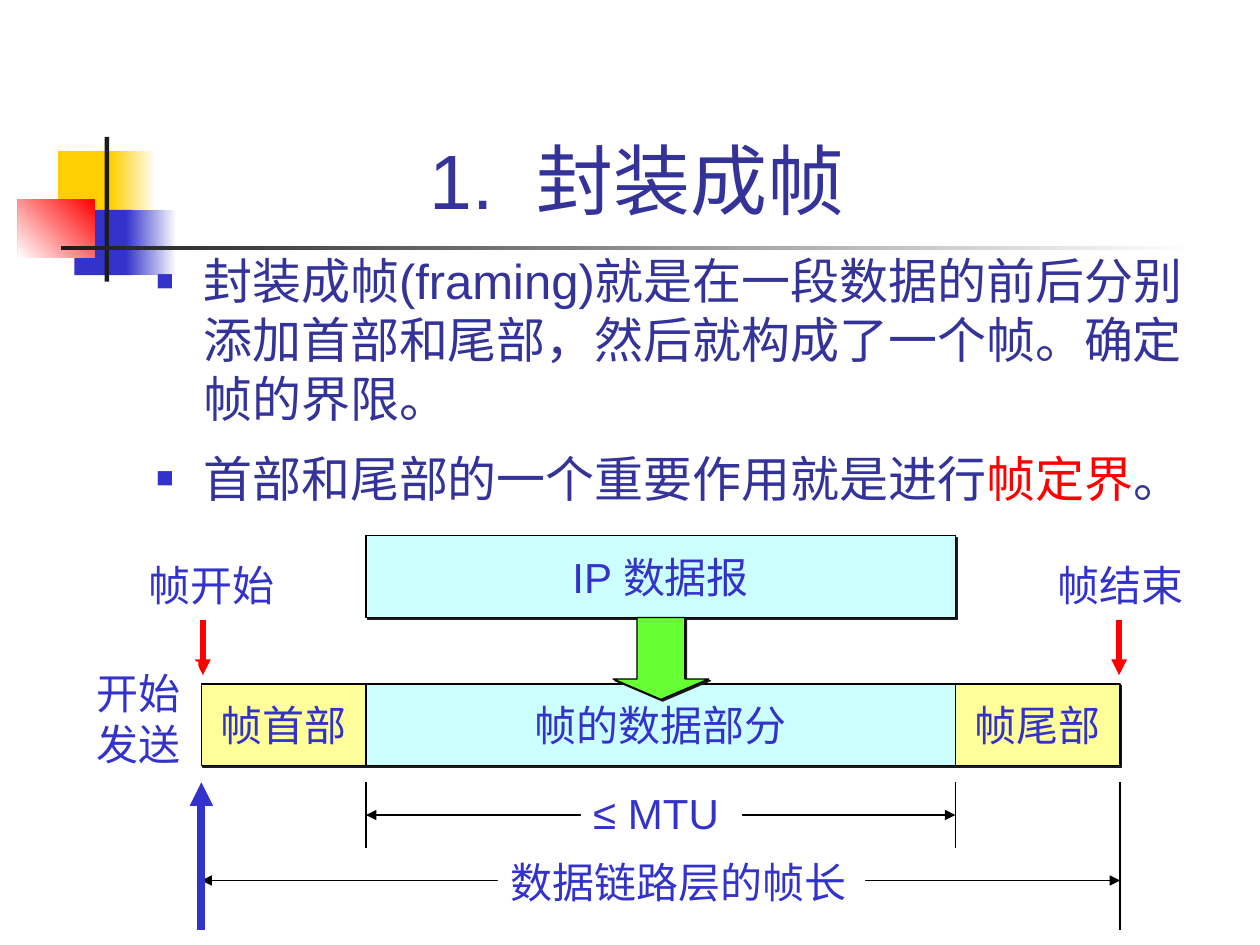
from dataclasses import dataclass

from lxml.etree import SubElement
from pptx import Presentation
from pptx.dml.color import RGBColor
from pptx.enum.shapes import MSO_CONNECTOR, MSO_SHAPE
from pptx.enum.text import MSO_ANCHOR, MSO_AUTO_SIZE, PP_ALIGN
from pptx.oxml.ns import qn
from pptx.shapes.autoshape import Shape
from pptx.slide import Slide
from pptx.text.text import _Paragraph
from pptx.util import Cm, Pt


@dataclass(frozen=True)
class Theme:
    font: str = "Arial"
    title_size: float = 44
    body_size: float = 28
    label_size: float = 24
    hairline: float = 0.75
    heading: str = "333399"
    blue: str = "3333CC"
    red: str = "FF0000"
    yellow: str = "FFCF01"
    ink: str = "1C1C1C"
    black: str = "000000"
    white: str = "FFFFFF"
    pale_yellow: str = "FFFF99"
    pale_cyan: str = "CCFFFF"
    green: str = "66FF33"


THEME = Theme()


@dataclass(frozen=True)
class Box:
    left: float
    top: float
    width: float
    height: float

    @property
    def right(self) -> float:
        return self.left + self.width

    @property
    def bottom(self) -> float:
        return self.top + self.height

    def emu(self) -> tuple[Cm, Cm, Cm, Cm]:
        return Cm(self.left), Cm(self.top), Cm(self.width), Cm(self.height)


@dataclass(frozen=True)
class Ornament:
    box: Box
    color: str
    fade_to: str = ""
    angle: float = 0


@dataclass(frozen=True)
class Block:
    box: Box
    color: str
    text: str = ""
    preset: MSO_SHAPE = MSO_SHAPE.RECTANGLE


@dataclass(frozen=True)
class Label:
    box: Box
    lines: tuple[str, ...]


@dataclass(frozen=True)
class Stroke:
    start: tuple[float, float]
    end: tuple[float, float]
    color: str = THEME.black
    weight: float = THEME.hairline
    arrowheads: tuple[str, ...] = ()


def rgb(color: str) -> RGBColor:
    return RGBColor.from_string(color)


def add_run(paragraph: _Paragraph, text: str, size: float, color: str, spacing: float = 0) -> None:
    run = paragraph.add_run()
    run.text = text
    run.font.name = THEME.font
    run.font.size = Pt(size)
    run.font.color.rgb = rgb(color)
    if spacing:
        run.font._element.set("spc", str(int(spacing * 100)))


def draw_ornament(slide: Slide, ornament: Ornament) -> None:
    patch = slide.shapes.add_shape(MSO_SHAPE.RECTANGLE, *ornament.box.emu())
    patch.shadow.inherit = False
    patch.line.fill.background()
    if ornament.fade_to:
        patch.fill.gradient()
        patch.fill.gradient_angle = ornament.angle
        for stop, color in zip(patch.fill.gradient_stops, (ornament.color, ornament.fade_to)):
            stop.color.rgb = rgb(color)
    else:
        patch.fill.solid()
        patch.fill.fore_color.rgb = rgb(ornament.color)


def cast_shadow(block: Shape) -> None:
    block.shadow.inherit = False
    effects = block.element.spPr.find(qn("a:effectLst"))
    shadow = SubElement(effects, qn("a:outerShdw"), dist=str(Pt(1.4)), dir="2700000",
                        algn="ctr", rotWithShape="0")
    SubElement(shadow, qn("a:srgbClr"), val=THEME.ink)


def draw_block(slide: Slide, block: Block) -> None:
    part = slide.shapes.add_shape(block.preset, *block.box.emu())
    part.fill.solid()
    part.fill.fore_color.rgb = rgb(block.color)
    part.line.color.rgb = rgb(THEME.black)
    part.line.width = Pt(THEME.hairline)
    cast_shadow(part)
    if block.text:
        part.text_frame.word_wrap = False
        part.text_frame.vertical_anchor = MSO_ANCHOR.MIDDLE
        caption = part.text_frame.paragraphs[0]
        caption.alignment = PP_ALIGN.CENTER
        add_run(caption, block.text, THEME.label_size, THEME.blue)


def draw_label(slide: Slide, label: Label) -> None:
    note = slide.shapes.add_textbox(*label.box.emu())
    note.fill.solid()
    note.fill.fore_color.rgb = rgb(THEME.white)
    frame = note.text_frame
    frame.word_wrap = False
    frame.auto_size = MSO_AUTO_SIZE.SHAPE_TO_FIT_TEXT
    for index, line in enumerate(label.lines):
        paragraph = frame.add_paragraph() if index else frame.paragraphs[0]
        add_run(paragraph, line, THEME.label_size, THEME.blue)


def draw_stroke(slide: Slide, stroke: Stroke) -> None:
    points = [Cm(value) for value in stroke.start + stroke.end]
    connector = slide.shapes.add_connector(MSO_CONNECTOR.STRAIGHT, *points)
    connector.line.color.rgb = rgb(stroke.color)
    connector.line.width = Pt(stroke.weight)
    properties = connector.element.spPr
    for end in stroke.arrowheads:
        SubElement(properties.find(qn("a:ln")), qn(f"a:{end}"), type="triangle")
    SubElement(properties, qn("a:effectLst"))


def add_bullet(paragraph: _Paragraph) -> None:
    properties = paragraph._p.get_or_add_pPr()
    properties.set("marL", str(Cm(0.95)))
    properties.set("indent", str(Cm(-0.95)))
    SubElement(SubElement(properties, qn("a:buClr")), qn("a:srgbClr"), val=THEME.blue)
    SubElement(properties, qn("a:buSzPct"), val="60000")
    SubElement(properties, qn("a:buFont"), typeface=THEME.font)
    SubElement(properties, qn("a:buChar"), char="■")


def draw_title(slide: Slide) -> None:
    frame = slide.shapes.add_textbox(*Box(3.2, 0.6, 19.3, 4.06).emu()).text_frame
    frame.word_wrap = True
    frame.vertical_anchor = MSO_ANCHOR.BOTTOM
    heading = frame.paragraphs[0]
    heading.alignment = PP_ALIGN.CENTER
    for text, spacing in (("1.", 0), (" ", 12), ("封装成帧", 0)):
        add_run(heading, text, THEME.title_size, THEME.heading, spacing)


def draw_body(slide: Slide) -> None:
    points = (
        (7, (("封装成帧(framing)就是在一段数据的前后分别添加首部和尾部，然后就构成了一个帧。确定帧的界限。", THEME.heading),)),
        (12, (("首部和尾部的一个重要作用就是进行", THEME.heading), ("帧定界", THEME.red), ("。", THEME.heading))),
    )
    frame = slide.shapes.add_textbox(*Box(2.9, 4.93, 21.59, 11.43).emu()).text_frame
    frame.word_wrap = True
    for index, (space, runs) in enumerate(points):
        paragraph = frame.add_paragraph() if index else frame.paragraphs[0]
        paragraph.space_before = Pt(space)
        add_bullet(paragraph)
        for text, color in runs:
            add_run(paragraph, text, THEME.body_size, color)


def main() -> None:
    deck = Presentation()
    deck.slide_width, deck.slide_height = Cm(25.4), Cm(19.05)
    slide = deck.slides.add_slide(deck.slide_layouts[6])

    for ornament in (
        Ornament(Box(1.17, 3.05, 1.22, 1.32), THEME.yellow),
        Ornament(Box(2.24, 3.05, 0.91, 1.32), THEME.yellow, THEME.white),
        Ornament(Box(1.5, 4.23, 1.17, 1.32), THEME.blue),
        Ornament(Box(2.54, 4.23, 1.02, 1.32), THEME.blue, THEME.white),
        Ornament(Box(0.36, 4.02, 1.55, 1.17), THEME.red, THEME.white, 225),
        Ornament(Box(2.11, 2.76, 0.09, 2.92), THEME.ink),
        Ornament(Box(1.23, 4.95, 22.86, 0.09), THEME.ink, THEME.white),
    ):
        draw_ornament(slide, ornament)
    draw_title(slide)
    draw_body(slide)

    header = Box(4.06, 13.79, 3.32, 1.65)
    data = Box(header.right, header.top, 11.88, header.height)
    trailer = Box(data.right, header.top, header.width, header.height)
    datagram = Box(data.left, 10.8, data.width, data.height)
    for block in (
        Block(header, THEME.pale_yellow, "帧首部"),
        Block(datagram, THEME.pale_cyan, "IP 数据报"),
        Block(data, THEME.pale_cyan, "帧的数据部分"),
        Block(trailer, THEME.pale_yellow, "帧尾部"),
    ):
        draw_block(slide, block)

    tick_top, mtu_y, length_y, foot = 15.77, 16.43, 17.75, 18.75
    both_ends = ("headEnd", "tailEnd")
    strokes = [
        Stroke((data.left, mtu_y), (data.right, mtu_y), arrowheads=both_ends),
        Stroke((header.left, length_y), (trailer.right, length_y), arrowheads=both_ends),
        Stroke((header.left, tick_top), (header.left, foot), THEME.blue, 4.5, ("headEnd",)),
        Stroke((trailer.right, tick_top), (trailer.right, foot)),
    ]
    strokes += [Stroke((x, tick_top), (x, 17.09)) for x in (data.left, data.right)]
    strokes += [Stroke((x, 13.61), (x, 12.5), THEME.red, 3, ("headEnd",)) for x in (4.09, 22.56)]
    for stroke in strokes:
        draw_stroke(slide, stroke)

    for label in (
        Label(Box(2.74, 11.15, 3.1, 1.27), ("帧开始",)),
        Label(Box(21.06, 11.15, 3.1, 1.27), ("帧结束",)),
        Label(Box(11.71, 15.75, 3.25, 1.27), ("≤ MTU",)),
        Label(Box(10.04, 17.15, 7.4, 1.27), ("数据链路层的帧长",)),
        Label(Box(1.7, 13.34, 2.3, 2.29), ("开始", "发送")),
    ):
        draw_label(slide, label)
    draw_block(slide, Block(Box(12.36, datagram.bottom, 1.93, 1.65), THEME.green,
                            preset=MSO_SHAPE.DOWN_ARROW))
    slide.shapes[-1].adjustments[1] = 0.25
    deck.save("out.pptx")


if __name__ == "__main__":
    main()
